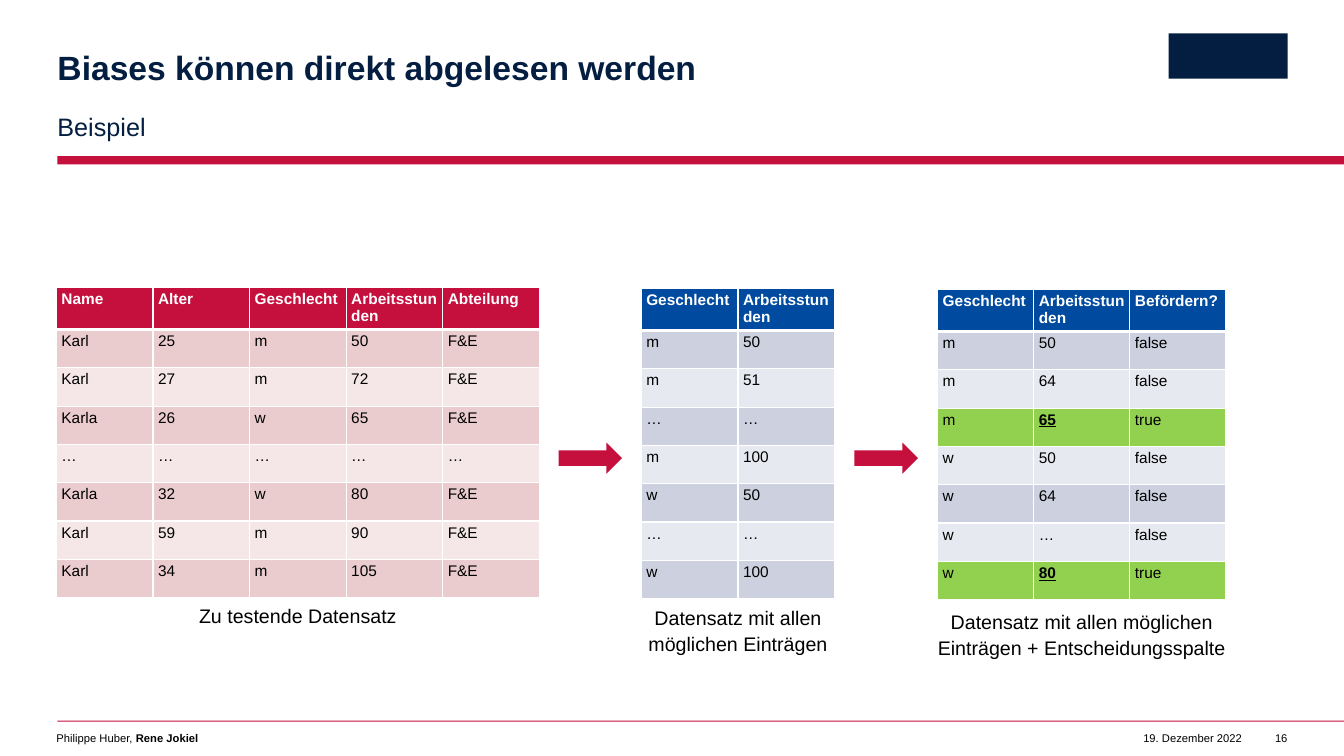
from lxml import etree
from pptx import Presentation
from pptx.dml.color import RGBColor
from pptx.enum.shapes import MSO_SHAPE
from pptx.enum.text import MSO_ANCHOR, MSO_AUTO_SIZE, PP_ALIGN
from pptx.oxml.ns import qn
from pptx.util import Inches, Pt

LEFT, CENTER, RIGHT = PP_ALIGN.LEFT, PP_ALIGN.CENTER, PP_ALIGN.RIGHT
TOP, MIDDLE = MSO_ANCHOR.TOP, MSO_ANCHOR.MIDDLE
RECTANGLE, ARROW = MSO_SHAPE.RECTANGLE, MSO_SHAPE.RIGHT_ARROW
NO_FIT = MSO_AUTO_SIZE.NONE

WIDTH, HEIGHT = 13.33, 7.5
MARGIN = 0.57
HEADER_ROW, DATA_ROW = 0.42, 0.38
ARROW_SIZE = (0.63, 0.31)
ARROW_TOP = 4.39
RED, BLUE, NAVY, GREEN = "C50F3C", "004A9F", "041E42", "92D050"
WHITE, BLACK = "FFFFFF", "000000"
RED_BANDS = ("EACCCE", "F5E7E8")
BLUE_BANDS = ("CCD0DF", "E7E9F0")

TITLE = "Biases können direkt abgelesen werden"
SUBTITLE = "Beispiel"
AUTHORS = [("Philippe Huber, ", False), ("Rene Jokiel", True)]
DATE, NUMBER = "19. Dezember 2022", "16"

TABLES = [
    {
        "place": (0.56, 2.85, 4.79), "head": RED, "bands": RED_BANDS,
        "caption": "Zu testende Datensatz", "caption_top": 5.97, "marked": (),
        "rows": [
            ("Name", "Alter", "Geschlecht", "Arbeitsstunden", "Abteilung"),
            ("Karl", "25", "m", "50", "F&E"),
            ("Karl", "27", "m", "72", "F&E"),
            ("Karla", "26", "w", "65", "F&E"),
            ("…", "…", "…", "…", "…"),
            ("Karla", "32", "w", "80", "F&E"),
            ("Karl", "59", "m", "90", "F&E"),
            ("Karl", "34", "m", "105", "F&E"),
        ],
    },
    {
        "place": (6.36, 2.86, 1.92), "head": BLUE, "bands": BLUE_BANDS,
        "caption": "Datensatz mit allen möglichen Einträgen",
        "caption_top": 5.99, "marked": (),
        "rows": [
            ("Geschlecht", "Arbeitsstunden"),
            ("m", "50"),
            ("m", "51"),
            ("…", "…"),
            ("m", "100"),
            ("w", "50"),
            ("…", "…"),
            ("w", "100"),
        ],
    },
    {
        "place": (9.3, 2.87, 2.86), "head": BLUE, "bands": BLUE_BANDS,
        "caption": "Datensatz mit allen möglichen Einträgen + Entscheidungsspalte",
        "caption_top": 6.03, "marked": (3, 7),
        "rows": [
            ("Geschlecht", "Arbeitsstunden", "Befördern?"),
            ("m", "50", "false"),
            ("m", "64", "false"),
            ("m", "65", "true"),
            ("w", "50", "false"),
            ("w", "64", "false"),
            ("w", "…", "false"),
            ("w", "80", "true"),
        ],
    },
]


def color(value):
    return RGBColor.from_string(value)


def apply(target, values):
    for name, value in values.items():
        setattr(target, name, value)


def inches(values):
    return [Inches(value) for value in values]


def write(frame, spans, size, ink, para_format=None):
    para = frame.paragraphs[0]
    apply(para, para_format or {})
    for text, bold, underline in spans:
        span = para.add_run()
        span.text = text
        apply(span.font, {"name": "Arial", "size": Pt(size), "bold": bold,
                          "underline": underline})
        span.font.color.rgb = color(ink)


def set_frame(frame, anchor=TOP, wrap=True, right=0):
    apply(frame, {"margin_left": 0, "margin_top": 0, "margin_bottom": 0,
                  "margin_right": Inches(right), "word_wrap": wrap,
                  "auto_size": NO_FIT, "vertical_anchor": anchor})


def add_text(page, place, spans, size, ink=BLACK, para_format=None, **frame_format):
    box = page.shapes.add_textbox(*inches(place))
    set_frame(box.text_frame, **frame_format)
    write(box.text_frame, spans, size, ink, para_format)


def add_filled(page, kind, place, fill):
    shape = page.shapes.add_shape(kind, *inches(place))
    shape.shadow.inherit = False
    shape.fill.solid()
    shape.fill.fore_color.rgb = color(fill)
    shape.line.fill.background()


def set_borders(cell, top, bottom):
    properties = cell._tc.get_or_add_tcPr()
    for side, points in (("L", 1), ("R", 1), ("T", top), ("B", bottom)):
        line = etree.SubElement(properties, qn("a:ln" + side), w=str(Pt(points)))
        fill = etree.SubElement(line, qn("a:solidFill"))
        etree.SubElement(fill, qn("a:srgbClr"), val=WHITE)


def add_data_table(page, data):
    rows = data["rows"]
    left, top, width = data["place"]
    height = HEADER_ROW + DATA_ROW * (len(rows) - 1)
    count = len(rows[0])
    table = page.shapes.add_table(
        len(rows), count, *inches((left, top, width, height))).table
    for column in table.columns:
        column.width = Inches(width / count)
    for r, texts in enumerate(rows):
        header, marked = r == 0, r in data["marked"]
        table.rows[r].height = Inches(HEADER_ROW if header else DATA_ROW)
        fill = data["head"] if header else GREEN if marked else data["bands"][(r - 1) % 2]
        for c, text in enumerate(texts):
            cell = table.cell(r, c)
            apply(cell, {"margin_left": Inches(0.05), "margin_right": Inches(0.05),
                         "margin_top": Inches(0.03), "margin_bottom": Inches(0.03)})
            set_borders(cell, 3 if r == 1 else 1, 3 if header else 1)
            cell.fill.solid()
            cell.fill.fore_color.rgb = color(fill)
            decisive = marked and c == 1
            write(cell.text_frame, [(text, header or decisive, decisive)], 11,
                  WHITE if header else BLACK)
    add_text(page, (left, data["caption_top"], width, 0.5),
             [(data["caption"], False, False)], 14,
             para_format={"alignment": CENTER, "line_spacing": 1.1,
                          "space_after": Pt(12)})


def main():
    deck = Presentation()
    deck.slide_width, deck.slide_height = Inches(WIDTH), Inches(HEIGHT)
    page = deck.slides.add_slide(deck.slide_layouts[5])

    for top, thickness in ((1.55, 0.08), (7.15, 0.01)):
        add_filled(page, RECTANGLE, (MARGIN, top, WIDTH - MARGIN, thickness), RED)
    add_filled(page, RECTANGLE, (11.59, 0.33, 1.18, 0.45), NAVY)

    title = page.shapes.title
    apply(title, dict(zip(("left", "top", "width", "height"),
                          inches((MARGIN, 0.33, 10.47, 0.73)))))
    set_frame(title.text_frame, MIDDLE)
    write(title.text_frame, [(TITLE, True, False)], 24, NAVY,
          {"alignment": LEFT, "line_spacing": 0.9})
    add_text(page, (MARGIN, 1.08, 10.47, 0.31), [(SUBTITLE, False, False)], 18, NAVY,
             {"line_spacing": 1.1, "space_after": Pt(12)}, anchor=MIDDLE, right=0.39)

    for data in TABLES:
        add_data_table(page, data)
    for before, after in zip(TABLES, TABLES[1:]):
        gap_start = before["place"][0] + before["place"][2]
        center = (gap_start + after["place"][0]) / 2
        add_filled(page, ARROW, (center - ARROW_SIZE[0] / 2, ARROW_TOP, *ARROW_SIZE), RED)

    add_text(page, (0.56, 7.26, 10.47, 0.13),
             [(name, bold, False) for name, bold in AUTHORS], 8)
    for text, left, width in ((DATE, 11.39, 0.93), (NUMBER, 12.56, 0.21)):
        add_text(page, (left, 7.26, width, 0.13), [(text, False, False)], 8,
                 para_format={"alignment": RIGHT}, wrap=False)

    deck.save("out.pptx")


if __name__ == "__main__":
    main()
